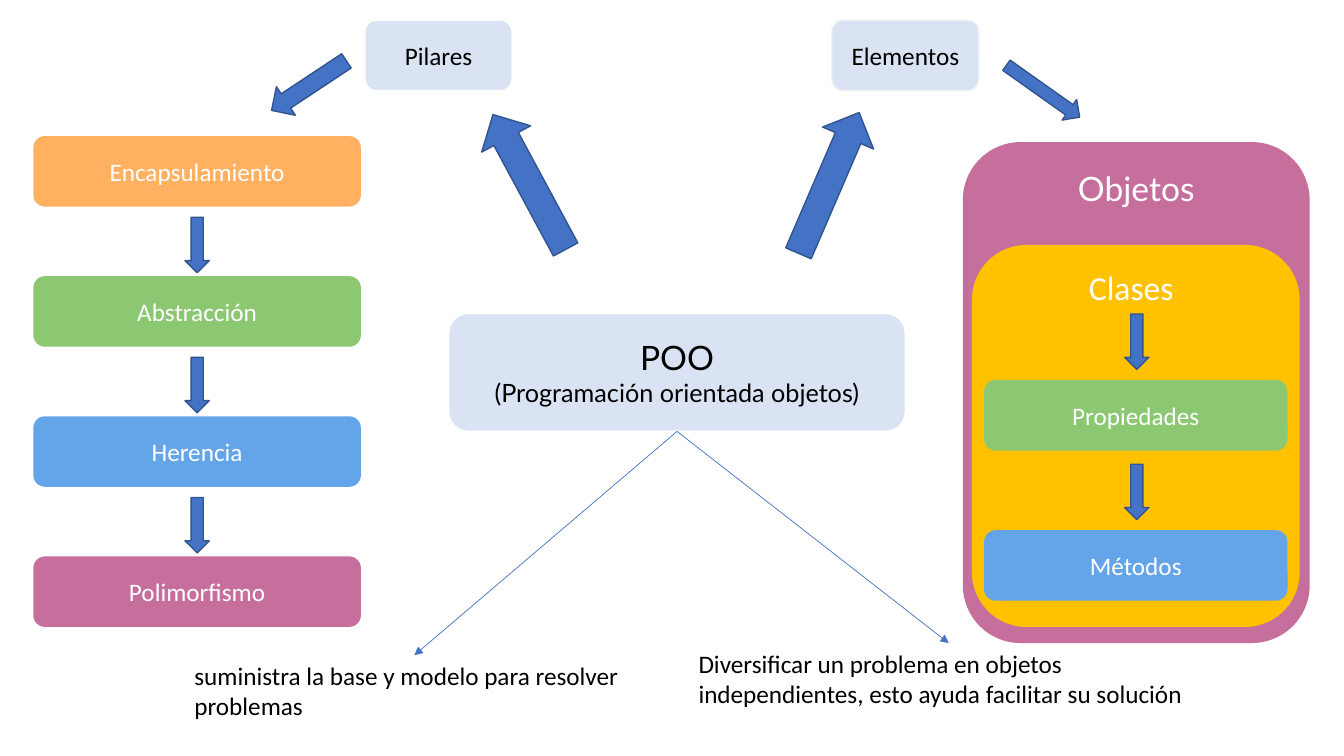
from lxml import etree
from pptx import Presentation
from pptx.dml.color import RGBColor
from pptx.enum import shapes, text
from pptx.oxml.ns import qn
from pptx.util import Inches, Pt

BLUE, NAVY, PALE = "4472C4", "325491", "DAE3F3"
ORANGE, GREEN, SKY, PINK, GOLD = "FFB060", "8CC772", "64A5E9", "C66F9D", "FFC100"
BLACK, WHITE, GREY = "000000", "FFFFFF", "F2F2F2"


def paint(target, color):
    """Give a fill or a line a solid colour."""
    target.solid()
    target.fore_color.rgb = RGBColor.from_string(color)


def write(shape, lines, color, font="Calibri", align=text.PP_ALIGN.CENTER):
    """Write (words, size) lines into one paragraph of a shape."""
    shape.text_frame.word_wrap = True
    para = shape.text_frame.paragraphs[0]
    para.alignment = align
    for index, (words, size) in enumerate(lines):
        if index:
            para.add_line_break()
        span = para.add_run()
        span.text = words
        for name, value in {"name": font, "size": Pt(size)}.items():
            setattr(span.font, name, value)
        span.font.color.rgb = RGBColor.from_string(color)


def add_figure(page, kind, box, fill, outline=None):
    """Add a filled preset shape with an optional thin outline."""
    shape = page.shapes.add_shape(kind, *map(Inches, box))
    shape.shadow.inherit = False
    paint(shape.fill, fill)
    if outline:
        paint(shape.line.fill, outline)
        shape.line.width = Pt(1)
    else:
        shape.line.fill.background()
    return shape


def add_card(page, box, fill, lines=(), color=WHITE, outline=None, font="Calibri"):
    """Add a rounded card with centred text."""
    card = add_figure(page, shapes.MSO_SHAPE.ROUNDED_RECTANGLE, box, fill, outline)
    card.text_frame.vertical_anchor = text.MSO_ANCHOR.MIDDLE
    if lines:
        write(card, lines, color, font)
    return card


def add_block_arrow(page, box, rotation=90):
    """Add a blue block arrow turned by the given degrees."""
    arrow = add_figure(page, shapes.MSO_SHAPE.RIGHT_ARROW, box, BLUE, NAVY)
    arrow.rotation = rotation


def add_label(page, box, words, size, color, font="Calibri", align=text.PP_ALIGN.CENTER):
    """Add a wrapping text box that grows with its text."""
    label = page.shapes.add_textbox(*map(Inches, box))
    write(label, [(words, size)], color, font, align)
    label.text_frame.auto_size = text.MSO_AUTO_SIZE.SHAPE_TO_FIT_TEXT


def add_pointer(page, card, end):
    """Draw a thin arrow from the bottom of a card to a point."""
    x, y = map(Inches, end)
    pointer = page.shapes.add_connector(shapes.MSO_CONNECTOR.STRAIGHT, 0, 0, x, y)
    pointer.begin_connect(card, 2)
    paint(pointer.line.fill, BLUE)
    pointer.line.width = Pt(0.5)
    properties = pointer.line._get_or_add_ln()
    etree.SubElement(properties, qn("a:tailEnd"), type="triangle")
    etree.SubElement(properties.getparent(), qn("a:effectLst"))


def add_pillars(page):
    """Add the column of four pillars and the arrows between them."""
    pillars = [("Encapsulamiento", ORANGE), ("Abstracción", GREEN),
               ("Herencia", SKY), ("Polimorfismo", PINK)]
    for index, (name, fill) in enumerate(pillars):
        top = 1.35 + 1.39 * index
        add_card(page, (0.33, top, 3.25, 0.7), fill, [(name, 18)])
        if index:
            add_block_arrow(page, (1.68, top - 0.43, 0.55, 0.24))


def add_elements(page):
    """Add the nested objects and classes panels with their members."""
    add_card(page, (9.55, 1.41, 3.44, 4.97), PINK)
    add_card(page, (9.64, 2.43, 3.25, 3.79), GOLD)
    add_label(page, (10.09, 1.62, 2.36, 0.5), "Objetos", 24, WHITE, "Lato")
    add_label(page, (10.19, 2.6, 2.06, 0.5), "Clases", 24, WHITE)
    for name, fill, top in [("Propiedades", GREEN, 3.77), ("Métodos", SKY, 5.26)]:
        add_card(page, (9.76, top, 3.01, 0.7), fill, [(name, 18)])
        add_block_arrow(page, (11, top - 0.5, 0.55, 0.24))


def main():
    """Build the concept map and save it."""
    deck = Presentation()
    deck.slide_width, deck.slide_height = Inches(13.33), Inches(7.5)
    page = deck.slides.add_slide(deck.slide_layouts[6])

    topic = add_card(page, (4.45, 3.11, 4.53, 1.17), PALE,
                     [("POO", 24), ("(Programación orientada objetos)", 18)],
                     BLACK, WHITE, "Lato")
    for name, left, outline in [("Pilares", 3.62, WHITE), ("Elementos", 8.25, GREY)]:
        add_card(page, (left, 0.2, 1.46, 0.7), PALE, [(name, 18)], BLACK, outline)
    for box, rotation in [((4.49, 1.53, 1.52, 0.55), 241.7),
                          ((7.46, 1.54, 1.52, 0.55), 293.3),
                          ((2.62, 0.68, 0.89, 0.34), 146.5),
                          ((9.9, 0.78, 0.89, 0.25), 35.3)]:
        add_block_arrow(page, box, rotation)

    add_pillars(page)
    add_elements(page)

    notes = [((4.11, 6.5), (1.83, 6.5, 4.56, 0.71),
              "suministra la base y modelo para resolver problemas"),
             ((9.41, 6.38), (6.83, 6.38, 5.17, 0.71),
              "Diversificar un problema en objetos independientes, "
              "esto ayuda facilitar su solución")]
    for end, box, words in notes:
        add_pointer(page, topic, end)
        add_label(page, box, words, 18, BLACK, align=text.PP_ALIGN.LEFT)

    deck.save("out.pptx")


if __name__ == "__main__":
    main()
